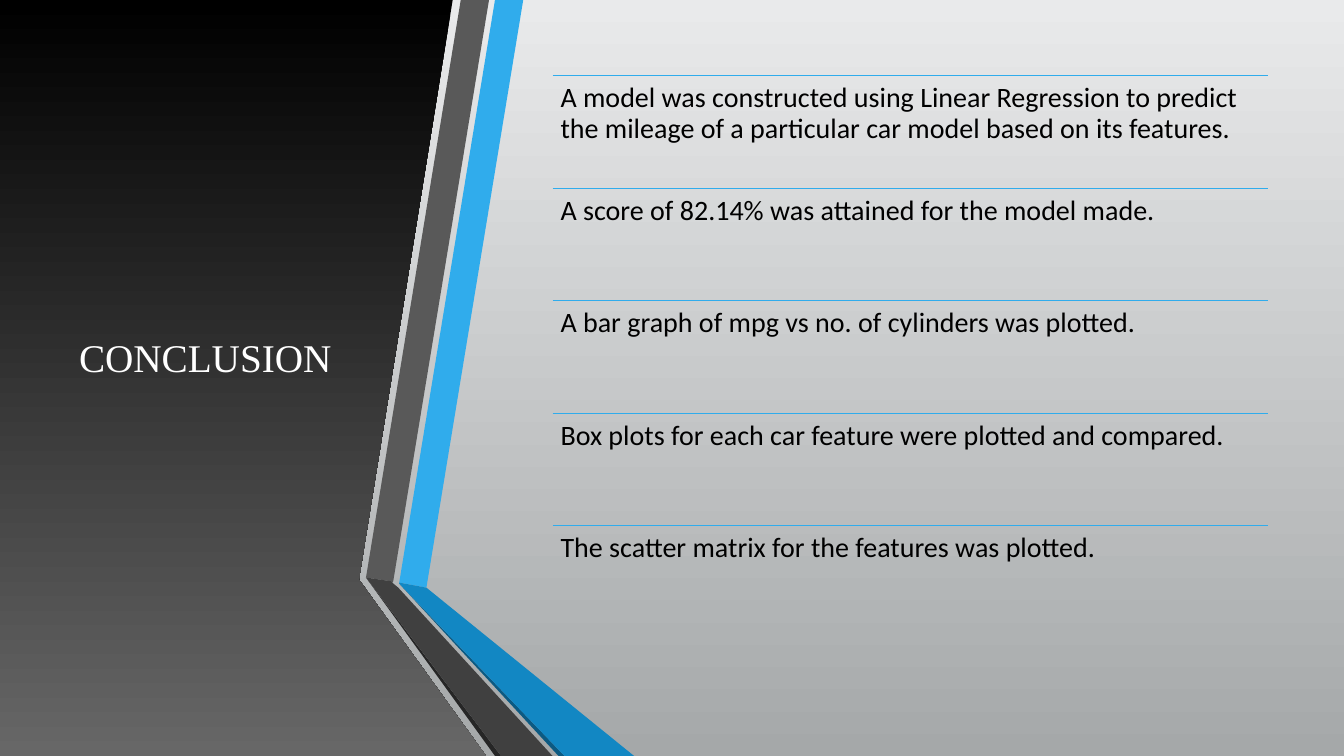
from dataclasses import dataclass

from lxml import etree
from pptx import Presentation
from pptx import util as u
from pptx.dml.color import RGBColor
from pptx.enum import shapes, text
from pptx.oxml.ns import qn


@dataclass(frozen=True)
class Theme:
    backdrop: tuple = ("E9EAEB", "A5A8A9")
    panel: tuple = ("000000", "676767")
    blue: str = "30ACEC"
    deep_blue: str = "1287C3"
    navy: str = "0C5A82"
    grey: str = "595959"
    charcoal: str = "404040"
    coal: str = "262626"
    white: str = "FFFFFF"
    black: str = "000000"
    title_font: str = "Times New Roman"
    body_font: str = "Calibri"
    title_size: int = 28
    body_size: int = 20


THEME = Theme()
WIDTH, HEIGHT = 13.33, 7.5
HUNDREDTH = u.Inches(0.01)

PANEL = [(0, 0), (449, 0), (356, 575), (482, 750), (0, 750)]
RIBBONS = [
    (THEME.blue, [(33, 578), (60, 583), (156, 0), (128, 0)]),
    (THEME.grey, [(122, 0), (94, 0), (0, 573), (27, 577)]),
    (THEME.coal, [(0, 573), (128, 750), (134, 750)]),
    (THEME.navy, [(33, 579), (191, 750), (197, 750)]),
    (THEME.deep_blue, [(33, 579), (197, 750), (266, 750), (60, 583), (33, 578)]),
    (THEME.charcoal, [(185, 750), (32, 583), (26, 578), (27, 577), (0, 573), (134, 750)]),
]
FINDINGS = [
    "A model was constructed using Linear Regression to predict the mileage of a particular car model based on its features.",
    "A score of 82.14% was attained for the model made.",
    "A bar graph of mpg vs no. of cylinders was plotted.",
    "Box plots for each car feature were plotted and compared.",
    "The scatter matrix for the features was plotted.",
]


def fill_gradient(fill, colours):
    fill.gradient()
    fill.gradient_angle = 270
    for stop, colour in zip(fill.gradient_stops, colours):
        stop.color.rgb = RGBColor.from_string(colour)


def write(frame, words, font, size, colour, align=None, spacing=None, anchor=None):
    frame.word_wrap = True
    frame.vertical_anchor = anchor
    para = frame.paragraphs[0]
    para.alignment = align
    para.line_spacing = spacing
    span = para.add_run()
    span.text = words
    span.font.name = font
    span.font.size = u.Pt(size)
    span.font.color.rgb = RGBColor.from_string(colour)


def add_outline(parent, points, left=0):
    builder = parent.build_freeform(*points[0], scale=HUNDREDTH)
    builder.add_line_segments(points[1:], close=True)
    outline = builder.convert_to_shape(u.Inches(left), 0)
    outline.shadow.inherit = False
    outline.line.fill.background()
    return outline


def add_title_panel(page, left, top, width, height):
    panel = add_outline(page.shapes, PANEL)
    fill_gradient(panel.fill, THEME.panel)
    title = page.shapes.title
    title.left, title.top = u.Inches(left), u.Inches(top)
    title.width, title.height = u.Inches(width), u.Inches(height)
    write(title.text_frame, "CONCLUSION", THEME.title_font, THEME.title_size,
          THEME.white, align=text.PP_ALIGN.CENTER, anchor=text.MSO_ANCHOR.MIDDLE)


def add_ribbons(page, left):
    group = page.shapes.add_group_shape()
    for colour, points in RIBBONS:
        ribbon = add_outline(group.shapes, points, left)
        ribbon.fill.solid()
        ribbon.fill.fore_color.rgb = RGBColor.from_string(colour)


def add_findings(page, left, top, width, height):
    group = page.shapes.add_group_shape()
    row_height = height / len(FINDINGS)
    for row, finding in enumerate(FINDINGS):
        row_top = u.Inches(top + row * row_height)
        rule = group.shapes.add_connector(
            shapes.MSO_CONNECTOR.STRAIGHT,
            u.Inches(left), row_top, u.Inches(left + width), row_top)
        rule.line.color.rgb = RGBColor.from_string(THEME.blue)
        rule.line.width = u.Pt(0.75)
        etree.SubElement(rule._element.spPr, qn("a:effectLst"))
        box = group.shapes.add_textbox(
            u.Inches(left), row_top, u.Inches(width), u.Inches(row_height))
        frame = box.text_frame
        frame.margin_left = frame.margin_right = u.Inches(0.08)
        frame.margin_top = frame.margin_bottom = u.Inches(0.08)
        write(frame, finding, THEME.body_font, THEME.body_size, THEME.black,
              spacing=0.9, anchor=text.MSO_ANCHOR.TOP)


def main():
    deck = Presentation()
    deck.slide_width, deck.slide_height = u.Inches(WIDTH), u.Inches(HEIGHT)
    page = deck.slides.add_slide(deck.slide_layouts.get_by_name("Title Only"))
    fill_gradient(page.background.fill, THEME.backdrop)
    margin = HEIGHT / 10
    add_title_panel(page, 0.59, margin, 2.89, 5.58)
    title = page.shapes.title._element
    title.getparent().append(title)
    add_ribbons(page, 3.63)
    add_findings(page, 5.48, margin, 7.1, 5.58)
    deck.save("out.pptx")


if __name__ == "__main__":
    main()
